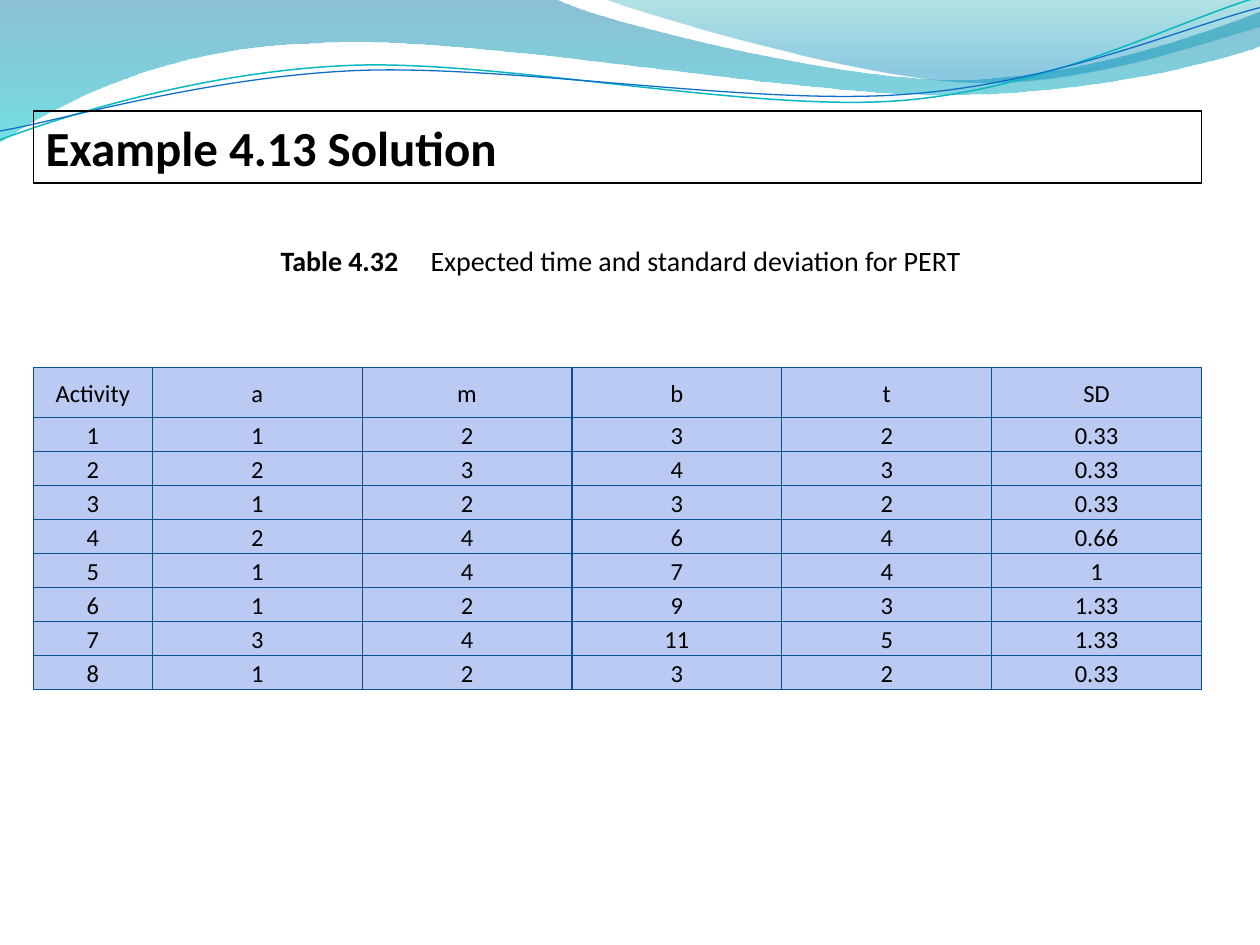
from math import cos, radians, sin

from lxml import etree
from pptx import Presentation
from pptx.dml.color import RGBColor
from pptx.enum.shapes import MSO_SHAPE
from pptx.enum.text import MSO_ANCHOR, PP_ALIGN
from pptx.oxml.ns import qn
from pptx.util import Cm, Pt

RECT = MSO_SHAPE.RECTANGLE
MIDDLE, TOP = MSO_ANCHOR.MIDDLE, MSO_ANCHOR.TOP
LEFT, CENTER = PP_ALIGN.LEFT, PP_ALIGN.CENTER

# Content
TITLE = "Example 4.13 Solution"
CAPTION = [("Table 4.32", True), ("\tExpected time and standard deviation for PERT", False)]
ROWS = [
    ("Activity", "a", "m", "b", "t", "SD"),
    ("1", "1", "2", "3", "2", "0.33"),
    ("2", "2", "3", "4", "3", "0.33"),
    ("3", "1", "2", "3", "2", "0.33"),
    ("4", "2", "4", "6", "4", "0.66"),
    ("5", "1", "4", "7", "4", "1"),
    ("6", "1", "2", "9", "3", "1.33"),
    ("7", "3", "4", "11", "5", "1.33"),
    ("8", "1", "2", "3", "2", "0.33"),
]

# Waves, in inches: box, then steps (one point is straight, three are a Bezier)
BANDS = [
    ((-0.01, -0.01, 10.02, 1.14),
     [[(0, 0)], [(4.4, -0.01)], [(4.76, 0.17), (6.64, 0.63), (7.58, 0.63)],
      [(8.53, 0.63), (9.58, 0.26), (10, 0.09)], [(10.01, 0.36)],
      [(9.83, 0.44), (8.7, 0.76), (7.46, 0.75)],
      [(6.22, 0.75), (3.82, 0.28), (2.57, 0.34)],
      [(1.29, 0.36), (0.46, 0.83), (-0.01, 1.13)], [(0, 0)]],
     [(0, "0074A1", 45), (1, "00C6CF", 55)]),
    ((4.79, -0.01, 5.21, 0.7),
     [[(4.79, -0.01)], [(5.09, 0.11), (6.82, 0.62), (7.69, 0.65)],
      [(8.56, 0.69), (9.61, 0.32), (10, 0.21)], [(10, 0)], [(4.79, -0.01)]],
     [(0, "00A1A9", 30), (0.8, "008BBF", 45)]),
]
STRANDS = [
    ((-0.02, 0.22, 10.02, 0.71),
     [[(0, 1.11)], [(0.48, 0.93), (1.58, 0.57), (2.77, 0.52)],
      [(3.95, 0.47), (5.93, 0.89), (7.13, 0.8)],
      [(8.33, 0.71), (9.38, 0.15), (9.98, -0.02)]],
     "0AB8BF", 0.85),
    ((-0.02, 0.3, 10.03, 0.58),
     [[(0, 1.04)], [(0.47, 0.96), (1.64, 0.61), (2.83, 0.56)],
      [(4.03, 0.51), (5.97, 0.84), (7.17, 0.75)],
      [(8.36, 0.67), (9.41, 0.21), (10, 0.06)]],
     "0F6FC6", 0.75),
]
STRAND_TILT = -2.7

# Layout, in cm
MARGIN, WIDTH = 0.67, 23.55
FIRST_COL, HEAD_ROW, BODY_ROW = 2.4, 1, 0.68


def rgb(color):
    return RGBColor.from_string(color)


def inch(value):
    return Cm(value * 2.54)


def add_wave(s, box, steps, tilt=0):
    """Add a freeform whose steps are given as they lie on the slide."""
    x, y, w, h = box
    cx, cy = x + w / 2, y + h / 2
    c, n = cos(radians(-tilt)), sin(radians(-tilt))

    def local(point):
        dx, dy = point[0] - cx, point[1] - cy
        return inch(dx * c - dy * n + w / 2), inch(dx * n + dy * c + h / 2)

    steps = [[local(point) for point in step] for step in steps]
    builder = s.shapes.build_freeform(*steps[0][0])
    builder.add_line_segments([step[-1] for step in steps[1:]], close=False)
    sp = builder.convert_to_shape()
    sp.left, sp.top, sp.width, sp.height = [inch(v) for v in box]
    sp.rotation = tilt
    sp.shadow.inherit = False
    # Bezier steps in place of the straight ones
    track = sp._element.spPr.find(".//" + qn("a:path"))
    for child in list(track):
        track.remove(child)
    track.set("w", str(sp.width))
    track.set("h", str(sp.height))
    for i, step in enumerate(steps):
        tag = "a:moveTo" if i == 0 else "a:lnTo" if len(step) == 1 else "a:cubicBezTo"
        node = etree.SubElement(track, qn(tag))
        for px, py in step:
            etree.SubElement(node, qn("a:pt"), x=str(px), y=str(py))
    if steps[0] == steps[-1]:
        etree.SubElement(track, qn("a:close"))
    return sp


def add_run(p, text, size, bold):
    r = p.add_run()
    r.text = text
    r.font.name = "Calibri"
    r.font.size = Pt(size)
    r.font.bold = bold
    r.font.color.rgb = rgb("000000")


def set_borders(cell, color, width):
    tcPr = cell._tc.get_or_add_tcPr()
    for side in ("lnL", "lnR", "lnT", "lnB"):
        ln = etree.SubElement(tcPr, qn("a:" + side), w=str(Pt(width)))
        fill = etree.SubElement(ln, qn("a:solidFill"))
        etree.SubElement(fill, qn("a:srgbClr"), val=color)


prs = Presentation()
prs.slide_width, prs.slide_height = Cm(25.4), Cm(19.05)
s = prs.slides.add_slide(prs.slide_layouts[6])

# Wave bands with translucent gradients
for box, steps, stops in BANDS:
    sp = add_wave(s, box, steps)
    sp.line.fill.background()
    sp.fill.gradient()
    sp.fill.gradient_angle = 270
    for stop, (position, color, _) in zip(sp.fill.gradient_stops, stops):
        stop.position = position
        stop.color.rgb = rgb(color)
    colors = sp._element.spPr.findall(".//" + qn("a:srgbClr"))
    for clr, (_, _, opacity) in zip(colors, stops):
        etree.SubElement(clr, qn("a:alpha"), val=str(opacity * 1000))

# Thin wave strands
for box, steps, color, width in STRANDS:
    sp = add_wave(s, box, steps, STRAND_TILT)
    sp.fill.background()
    sp.line.color.rgb = rgb(color)
    sp.line.width = Pt(width)

# Title
sp = s.shapes.add_shape(RECT, Cm(MARGIN), Cm(2.24), Cm(WIDTH), Cm(1.45))
sp.shadow.inherit = False
sp.fill.background()
sp.line.color.rgb = rgb("000000")
sp.line.width = Pt(0.75)
tf = sp.text_frame
tf.word_wrap = True
tf.vertical_anchor = TOP
p = tf.paragraphs[0]
p.alignment = LEFT
add_run(p, TITLE, 28, True)

# Table
n_rows, n_cols = len(ROWS), len(ROWS[0])
height = HEAD_ROW + BODY_ROW * (n_rows - 1)
table = s.shapes.add_table(n_rows, n_cols, Cm(MARGIN), Cm(7.41), Cm(WIDTH), Cm(height)).table
table.first_row = table.horz_banding = False
for i, col in enumerate(table.columns):
    col.width = Cm((WIDTH - FIRST_COL) / (n_cols - 1) if i else FIRST_COL)
for i, values in enumerate(ROWS):
    table.rows[i].height = Cm(BODY_ROW if i else HEAD_ROW)
    for j, value in enumerate(values):
        cell = table.cell(i, j)
        cell.margin_left = cell.margin_right = Cm(0.18)
        cell.margin_top = cell.margin_bottom = 0
        cell.vertical_anchor = MIDDLE
        set_borders(cell, "095295", 0.75)
        cell.fill.solid()
        cell.fill.fore_color.rgb = rgb("BACAF3")
        p = cell.text_frame.paragraphs[0]
        p.alignment = CENTER
        p.line_spacing = 1.14
        add_run(p, value, 14, False)

# Table caption, with a tab stop between number and wording
tf = s.shapes.add_textbox(Cm(5.38), Cm(4.78), Cm(14.25), Cm(0.94)).text_frame
tf.word_wrap = True
tf.margin_left, tf.margin_right = Cm(0.28), 0
p = tf.paragraphs[0]
p.alignment = LEFT
tabs = etree.SubElement(p._p.get_or_add_pPr(), qn("a:tabLst"))
etree.SubElement(tabs, qn("a:tab"), pos=str(Cm(3.02)), algn="l")
for text, bold in CAPTION:
    add_run(p, text, 16, bold)

prs.save("out.pptx")
